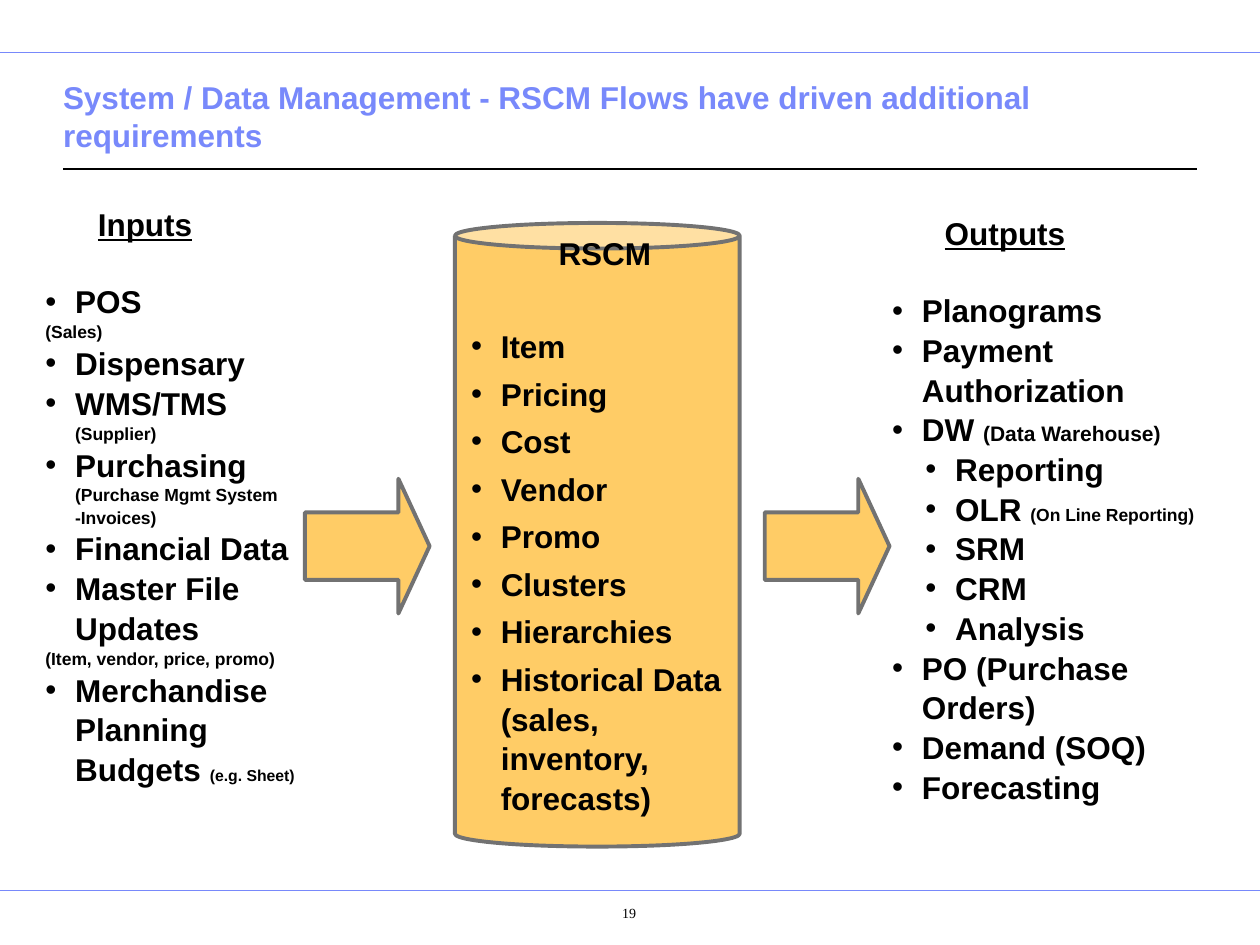
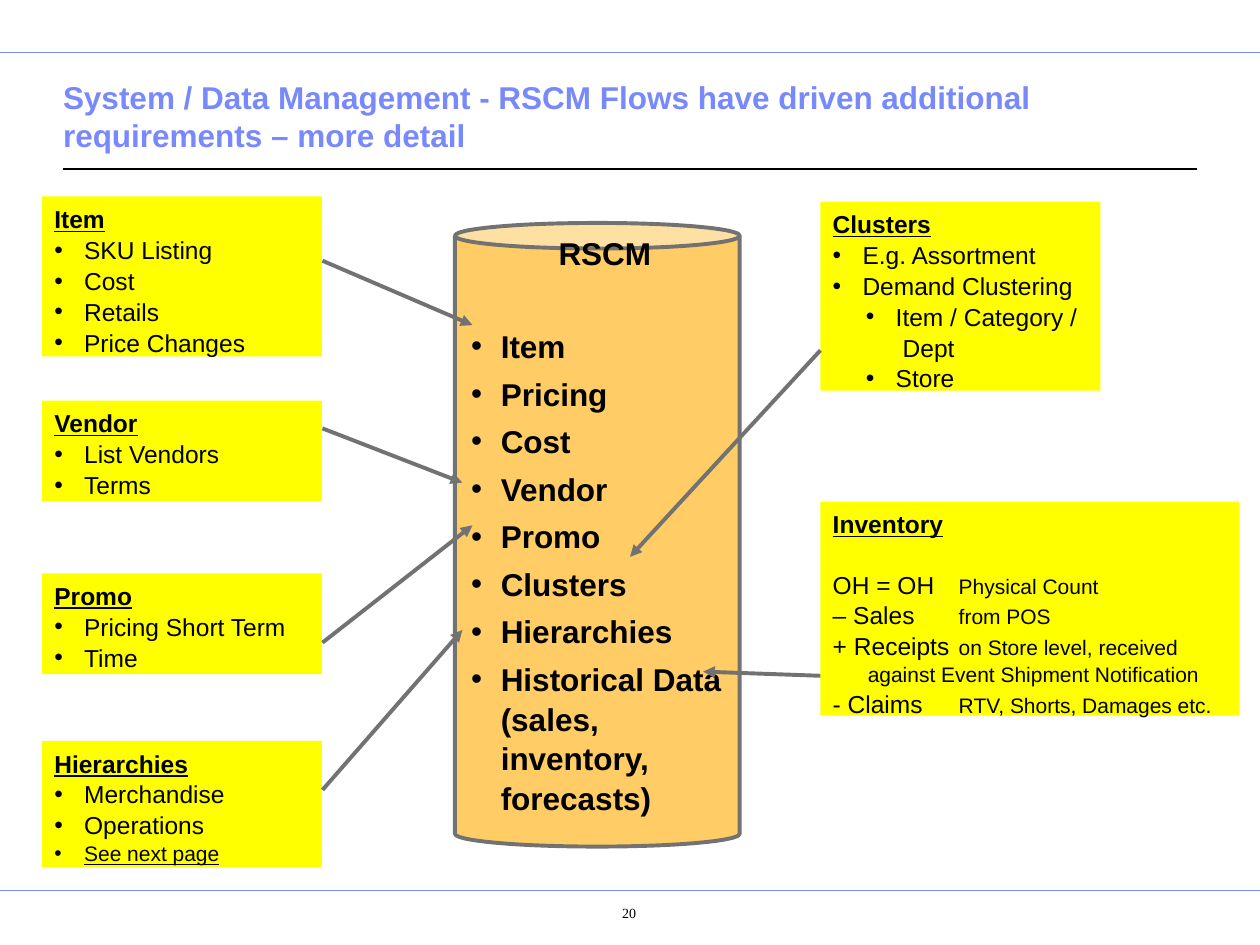
from dataclasses import dataclass
from lxml.etree import SubElement
from pptx import Presentation
from pptx.dml.color import RGBColor
from pptx.enum.shapes import MSO_CONNECTOR, MSO_SHAPE
from pptx.enum.text import MSO_ANCHOR, MSO_AUTO_SIZE, PP_ALIGN
from pptx.oxml.ns import qn
from pptx.util import Pt


@dataclass(frozen=True)
class Theme:
    accent: str = "7889FB"
    ink: str = "000000"
    outline: str = "727272"
    store: str = "FFCC66"
    note: str = "FFFF00"
    font: str = "Arial"
    number_font: str = "Times New Roman"
    large: int = 18
    medium: int = 14
    small: int = 12
    detail: int = 10
    tiny: int = 9
    number: int = 8
    stroke: float = 2.25
    line_spacing: float = 1.05
    hang: int = 17
    nested: int = 36


THEME = Theme()


@dataclass
class Line:
    """One paragraph: text is a string or a list of (text, format) spans."""
    text: object
    bullet: bool = False
    level: int = 0
    indent: float = 0
    before: float = 0
    tab: float = 0


def bullets(*texts, level=0, before=0):
    return [Line(text, True, level, before=before) for text in texts]


def first_gap(lines, gap):
    lines[0].before = gap
    return lines


def write(para, text, size=THEME.large, bold=False, underline=False,
          color=THEME.ink, font=THEME.font):
    span = para.add_run()
    span.text = text
    span.font.size = Pt(size)
    span.font.bold = bold
    span.font.underline = underline
    span.font.name = font
    span.font.color.rgb = RGBColor.from_string(color)


class SlideWriter:
    def __init__(self, deck, theme):
        self.deck = deck
        self.theme = theme
        self.page = None

    def new_page(self, layout, title, number):
        self.page = self.deck.slides.add_slide(self.deck.slide_layouts.get_by_name(layout))
        for y, left, right, color, width in (
            (30.2, 0, 720, self.theme.accent, 0.5),
            (509, 0, 720, self.theme.accent, 0.5),
            (96.5, 36, 684, self.theme.ink, 0.75),
        ):
            self.line((left, y), (right, y), color, width)
        self.title(title)
        self.page_number(number)

    def title(self, text):
        box = self.page.shapes.title
        self.place(box, 36, 46, 648, 45.5)
        frame = self.frame(box, MSO_ANCHOR.BOTTOM)
        frame.margin_left = frame.margin_right = 0
        para = frame.paragraphs[0]
        para.alignment = PP_ALIGN.LEFT
        write(para, text, bold=True, color=self.theme.accent)

    def page_number(self, number):
        box = self.page.shapes.add_textbox(Pt(307.4), Pt(511.9), Pt(82.8), Pt(25))
        frame = self.frame(box)
        frame.margin_left, frame.margin_top = Pt(11.5), Pt(5)
        para = frame.paragraphs[0]
        para.alignment = PP_ALIGN.CENTER
        self.indent(para, self.theme.hang)
        write(para, str(number), size=self.theme.number, font=self.theme.number_font)

    def place(self, box, left, top, width, height):
        box.left, box.top, box.width, box.height = map(Pt, (left, top, width, height))

    def frame(self, box, anchor=MSO_ANCHOR.TOP):
        frame = box.text_frame
        frame.word_wrap = True
        frame.auto_size = MSO_AUTO_SIZE.NONE
        frame.vertical_anchor = anchor
        frame.margin_left = frame.margin_right = Pt(7.2)
        frame.margin_top = frame.margin_bottom = Pt(3.6)
        return frame

    def indent(self, para, left, first=0):
        properties = para._p.get_or_add_pPr()
        properties.set("marL", str(Pt(left)))
        properties.set("indent", str(Pt(first)))
        return properties

    def list_style(self, para, line):
        """Set indents, the bullet and the tab stop of one paragraph."""
        theme = self.theme
        if line.bullet:
            left = theme.nested if line.level else theme.hang
            properties = self.indent(para, left, -theme.hang)
            color = SubElement(properties, qn("a:buClr"))
            SubElement(color, qn("a:srgbClr"), val=theme.ink)
            SubElement(properties, qn("a:buFont"), typeface=theme.font)
            SubElement(properties, qn("a:buChar"), char="•")
        else:
            properties = self.indent(para, line.indent)
            SubElement(properties, qn("a:buNone"))
        if line.tab:
            stops = SubElement(properties, qn("a:tabLst"))
            SubElement(stops, qn("a:tab"), pos=str(Pt(line.tab)), algn="l")

    def fill_text(self, box, lines, **base):
        frame = self.frame(box)
        for index, line in enumerate(lines):
            para = frame.add_paragraph() if index else frame.paragraphs[0]
            para.level = line.level
            self.list_style(para, line)
            para.alignment = PP_ALIGN.LEFT
            para.line_spacing = self.theme.line_spacing
            para.space_before = Pt(line.before)
            para.space_after = Pt(0)
            spans = [(line.text, {})] if isinstance(line.text, str) else line.text
            for text, extra in spans:
                write(para, text, **{**base, **extra})

    def list_placeholder(self, index, at, lines):
        box = self.page.placeholders[index]
        self.place(box, *at)
        self.fill_text(box, lines, bold=True)

    def shape(self, kind, at, fill, outlined=True, adjustments=()):
        shape = self.page.shapes.add_shape(kind, *map(Pt, at))
        shape.shadow.inherit = False
        shape.fill.solid()
        shape.fill.fore_color.rgb = RGBColor.from_string(fill)
        if outlined:
            shape.line.color.rgb = RGBColor.from_string(self.theme.outline)
            shape.line.width = Pt(self.theme.stroke)
        else:
            shape.line.fill.background()
        for index, value in enumerate(adjustments):
            shape.adjustments[index] = value
        return shape

    def line(self, start, end, color, width):
        connector = self.page.shapes.add_connector(
            MSO_CONNECTOR.STRAIGHT, *map(Pt, (*start, *end)))
        connector.line.color.rgb = RGBColor.from_string(color)
        connector.line.width = Pt(width)
        SubElement(connector._element.spPr, qn("a:effectLst"))
        return connector

    def arrow(self, start, end):
        connector = self.line(start, end, self.theme.outline, self.theme.stroke)
        SubElement(connector.line._get_or_add_ln(), qn("a:tailEnd"), type="triangle")

    def flow_arrow(self, left):
        self.shape(MSO_SHAPE.RIGHT_ARROW, (left, 273.6, 71.3, 77),
                   self.theme.store, adjustments=(0.5, 0.25))

    def rscm_store(self):
        self.shape(MSO_SHAPE.CAN, (260, 127.4, 162.7, 356.4),
                   self.theme.store, adjustments=(0.09,))
        items = bullets("Item", "Pricing", "Cost", "Vendor", "Promo", "Clusters",
                        "Hierarchies", "Historical Data (sales, inventory, forecasts)",
                        before=4.5)
        box = self.page.shapes.add_textbox(*map(Pt, (262.1, 128.9, 163.4, 307.4)))
        self.fill_text(box, [Line("RSCM", indent=50), *first_gap(items, 30.7)], bold=True)

    def note(self, at, heading, lines):
        box = self.shape(MSO_SHAPE.RECTANGLE, at, self.theme.note, outlined=False)
        title = Line([(heading, dict(bold=True, underline=True))])
        self.fill_text(box, [title, *lines], size=self.theme.medium)


def flows_page(writer):
    small = dict(size=THEME.small)
    detail = dict(size=THEME.detail)
    underline = dict(underline=True)
    writer.new_page("Two Content", "System / Data Management - RSCM Flows have driven "
                    "additional requirements", 19)
    outputs = [
        *bullets("Planograms", "Payment Authorization",
                 [("DW ", {}), ("(Data Warehouse)", small)]),
        *bullets("Reporting", [("OLR ", {}), ("(On Line Reporting)", detail)],
                 "SRM", "CRM", "Analysis", level=1),
        *bullets("PO (Purchase Orders)", "Demand (SOQ)", "Forecasting"),
    ]
    inputs = [
        *bullets("POS"),
        Line([("(Sales)", detail)]),
        *bullets("Dispensary",
                 [("WMS/TMS ", {}), ("(Supplier)", detail)],
                 [("Purchasing ", {}), ("(Purchase Mgmt System -Invoices)", detail)],
                 "Financial Data", "Master File Updates"),
        Line([("(Item, vendor, price, promo)", detail)]),
        *bullets([("Merchandise Planning Budgets ", {}),
                  ("(e.g. Sheet)", dict(size=THEME.tiny))]),
    ]
    for index, at, heading, lines in (
        (1, (18.7, 112.3, 168, 327), "Inputs", inputs),
        (2, (502.6, 117.4, 210.2, 331), "Outputs", outputs),
    ):
        title = Line([(heading, underline)], indent=30)
        writer.list_placeholder(index, at, [title, *first_gap(lines, 21.7)])
    for left in (174.2, 437):
        writer.flow_arrow(left)
    writer.rscm_store()


def detail_page(writer):
    small = dict(size=THEME.small)
    writer.new_page("Title Only", "System / Data Management - RSCM Flows have driven "
                    "additional requirements – more detail", 20)
    writer.rscm_store()

    next_page = [("See next page", dict(size=THEME.small, underline=True))]
    for top, height, heading, texts, start, end in (
        (112.3, 91.4, "Item", ("SKU Listing", "Cost", "Retails", "Price Changes"),
         149, (270, 185.8)),
        (229, 57.6, "Vendor", ("List Vendors", "Terms"), 244.8, (264.2, 275.8)),
        (327.6, 57.6, "Promo", ("Pricing Short Term", "Time"), 367.2, (270, 300.2)),
        (423.4, 72, "Hierarchies", ("Merchandise", "Operations", next_page),
         451.4, (264.2, 360)),
    ):
        writer.note((24, top, 160, height), heading, bullets(*texts))
        writer.arrow((184.3, start), end)

    writer.note((468.8, 115.2, 160, 108), "Clusters", [
        *bullets("E.g. Assortment", "Demand Clustering"),
        *bullets("Item / Category /", level=1),
        Line("Dept", level=1, indent=40),
        *bullets("Store", level=1),
    ])
    writer.arrow((468.8, 200.2), (360, 318.2))

    writer.arrow((481, 386.6), (401.8, 383.8))
    stock = [Line([(term + "\t", {}), (meaning, small)], tab=78) for term, meaning in (
        ("OH = OH", "Physical Count"),
        ("– Sales", "from POS"),
        ("+ Receipts", "on Store level, received"),
        ("- Claims", "RTV, Shorts, Damages etc."),
    )]
    stock.insert(3, Line([("against Event Shipment Notification", small)], indent=20))
    writer.note((468.8, 286.6, 239.4, 122.4), "Inventory", first_gap(stock, 16.9))


def main():
    deck = Presentation()
    deck.slide_width, deck.slide_height = Pt(720), Pt(540)
    writer = SlideWriter(deck, THEME)
    flows_page(writer)
    detail_page(writer)
    deck.save("out.pptx")


if __name__ == "__main__":
    main()
